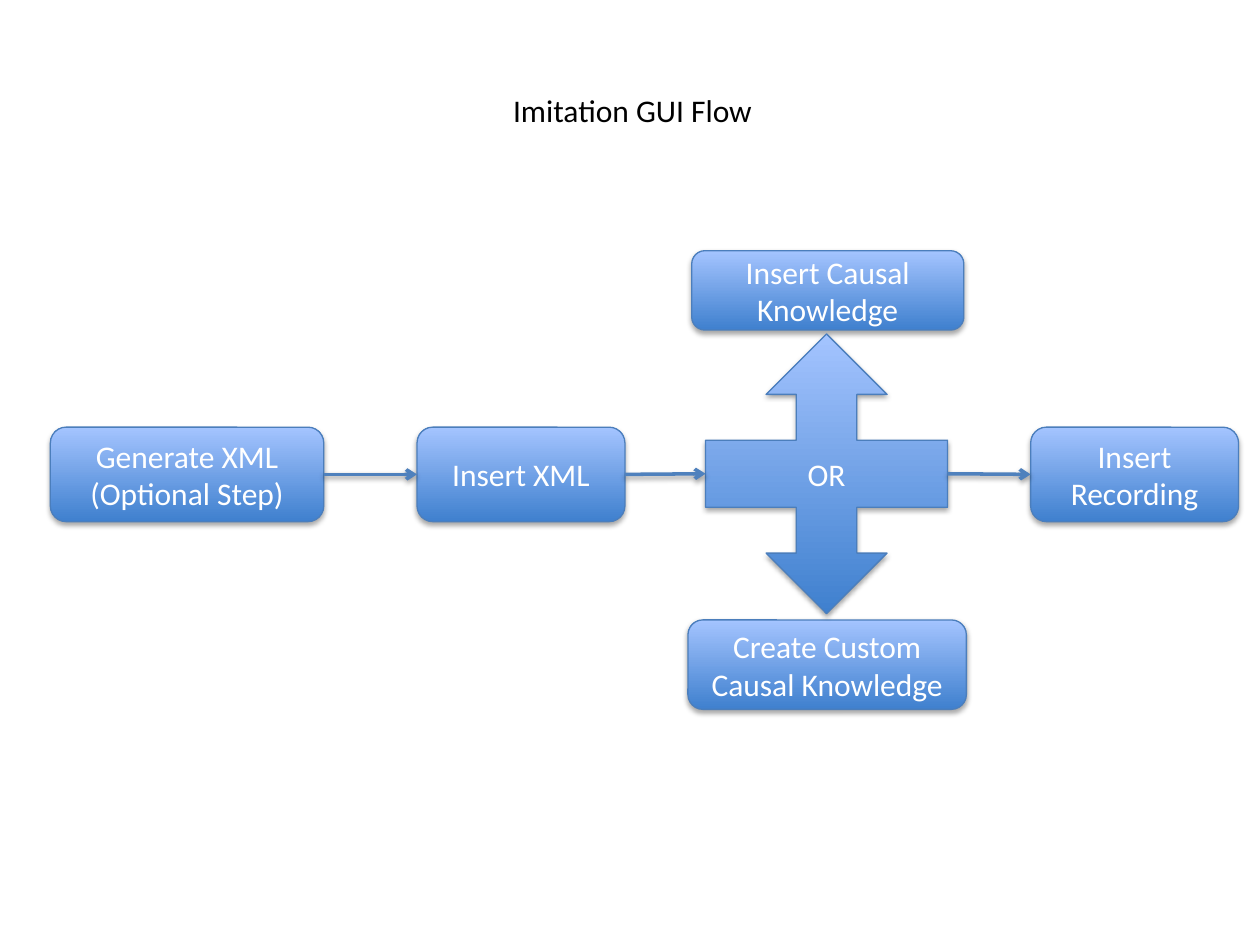
from lxml import etree
from pptx import Presentation
from pptx import util as u
from pptx.dml.color import RGBColor
from pptx.enum import shapes, text
from pptx.oxml.ns import qn

LEFT, RIGHT = 1, 3  # connection sites
ROUND = shapes.MSO_SHAPE.ROUNDED_RECTANGLE
ROW_TOP, ROW_HIGH = 3.39, 0.75


def rgb(code):
    return RGBColor.from_string(code)


def write(shape, words, size=18, color="FFFFFF", font="Calibri",
          anchor=text.MSO_ANCHOR.MIDDLE):
    frame = shape.text_frame
    frame.word_wrap = True
    frame.vertical_anchor = anchor
    para = frame.paragraphs[0]
    para.alignment = text.PP_ALIGN.CENTER
    run = para.add_run()
    run.text = words
    run.font.size = u.Pt(size)
    run.font.name = font
    run.font.color.rgb = rgb(color)


def shade(shape, alpha, dist):
    """Add a soft black shadow straight below; call after the line is set."""
    effects = etree.SubElement(shape.element.spPr, qn("a:effectLst"))
    outer = etree.SubElement(
        effects, qn("a:outerShdw"), blurRad=str(u.Pt(3.1)),
        dist=str(u.Pt(dist)), dir="5400000", rotWithShape="0")
    black = etree.SubElement(outer, qn("a:srgbClr"), val="000000")
    etree.SubElement(black, qn("a:alpha"), val=str(alpha * 1000))


def add_title(slide, words, *place):
    box = slide.shapes.add_textbox(*map(u.Inches, place))
    write(box, words, color="000000", anchor=text.MSO_ANCHOR.TOP)
    box.text_frame.auto_size = text.MSO_AUTO_SIZE.SHAPE_TO_FIT_TEXT


def add_step(slide, words, *place, kind=ROUND):
    step = slide.shapes.add_shape(kind, *map(u.Inches, place))
    step.fill.gradient()
    step.fill.gradient_angle = 90
    for stop, color in zip(step.fill.gradient_stops, ("3F80CE", "A4C4FF")):
        stop.color.rgb = rgb(color)
    step.line.color.rgb = rgb("4B7EBC")
    step.line.width = u.Pt(0.75)
    shade(step, 35, 1.8)
    write(step, words)
    return step


def add_arrow(slide, start, end):
    arrow = slide.shapes.add_connector(shapes.MSO_CONNECTOR.STRAIGHT, 0, 0, 0, 0)
    arrow.begin_connect(start, RIGHT)
    arrow.end_connect(end, LEFT)
    arrow.line.color.rgb = rgb("4F81BD")
    arrow.line.width = u.Pt(2)
    etree.SubElement(arrow.get_or_add_ln(), qn("a:tailEnd"), type="arrow")
    shade(arrow, 38, 1.6)


def main():
    deck = Presentation()
    deck.slide_width, deck.slide_height = u.Inches(10), u.Inches(7.5)
    slide = deck.slides.add_slide(deck.slide_layouts[6])

    add_title(slide, "Imitation GUI Flow", 2.58, 0.67, 4.88, 0.4)
    make, load, record = [
        add_step(slide, words, left, ROW_TOP, wide, ROW_HIGH)
        for words, left, wide in (
            ("Generate XML (Optional Step)", 0.4, 2.17),
            ("Insert XML", 3.31, 1.65),
            ("Insert Recording", 8.18, 1.65))]
    add_step(slide, "Create Custom Causal Knowledge", 5.46, 4.92, 2.21, 0.71)
    add_step(slide, "Insert Causal Knowledge", 5.49, 1.99, 2.16, 0.63)
    choice = add_step(slide, "OR", 5.6, 2.65, 1.92, 2.22,
                      kind=shapes.MSO_SHAPE.UP_DOWN_ARROW_CALLOUT)
    for i, ratio in enumerate((0.25, 0.25, 0.25, 0.24)):
        choice.adjustments[i] = ratio

    for start, end in ((make, load), (load, choice), (choice, record)):
        add_arrow(slide, start, end)
    deck.save("out.pptx")


if __name__ == "__main__":
    main()
